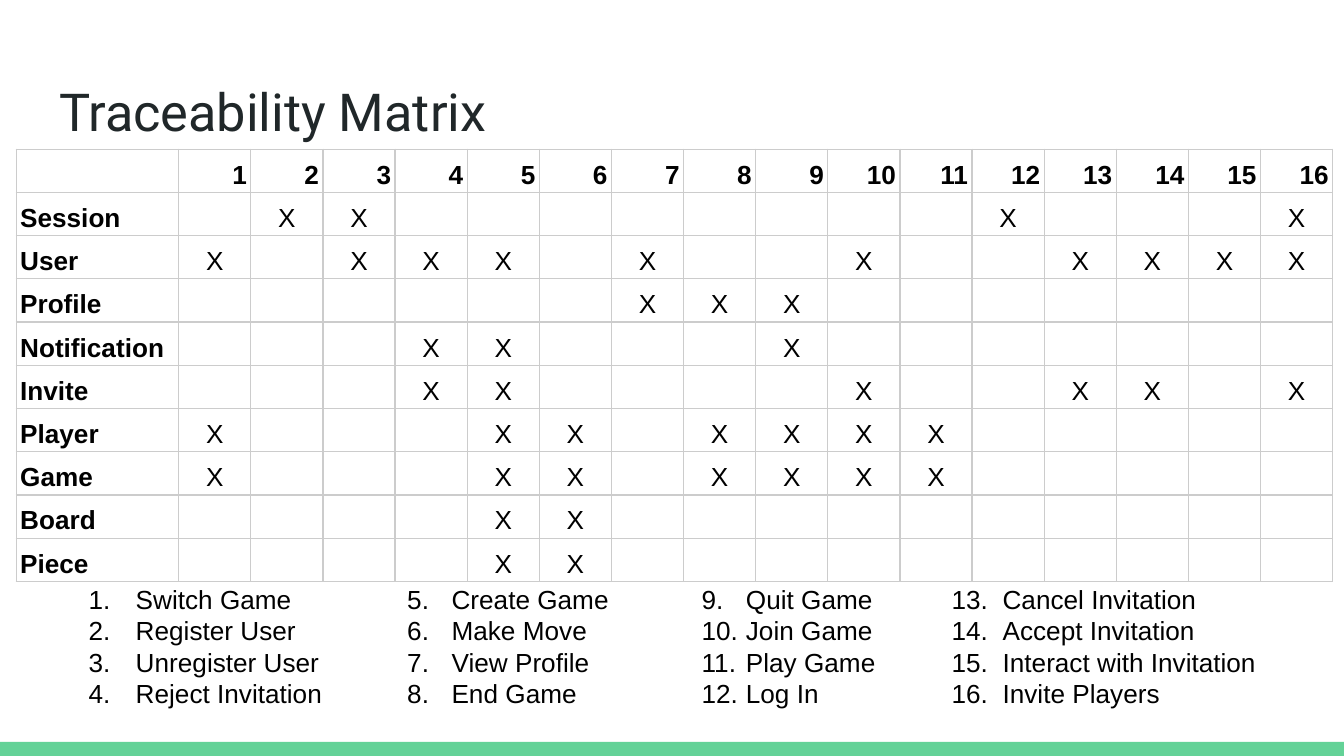
import lxml.etree
import pptx
import pptx.dml.color
import pptx.enum.shapes
import pptx.enum.text
import pptx.oxml.ns
import pptx.util

Inches = pptx.util.Inches
Pt = pptx.util.Pt
ALIGN = pptx.enum.text.PP_ALIGN
ANCHOR = pptx.enum.text.MSO_ANCHOR
qn = pptx.oxml.ns.qn

GREEN = pptx.dml.color.RGBColor(0x63, 0xD2, 0x97)
INK = pptx.dml.color.RGBColor(0x20, 0x27, 0x29)
BLACK = pptx.dml.color.RGBColor(0, 0, 0)
GRID = pptx.dml.color.RGBColor(0xCC, 0xCC, 0xCC)

SLIDE_WIDTH = 10
SLIDE_HEIGHT = SLIDE_WIDTH * 9 / 16
TITLE_FONT = {"name": "Roboto", "size": Pt(28), "bold": False}
BODY_FONT = {"name": "Arial", "size": Pt(14), "bold": False}
BOLD_FONT = {**BODY_FONT, "bold": True}
FRAME = {"word_wrap": True, "auto_size": pptx.enum.text.MSO_AUTO_SIZE.NONE,
         "vertical_anchor": ANCHOR.TOP, "margin_left": Inches(0.1),
         "margin_right": Inches(0.1), "margin_top": Inches(0.1),
         "margin_bottom": Inches(0.1)}
CELL = {"vertical_anchor": ANCHOR.BOTTOM, "margin_left": Inches(0.03),
        "margin_right": Inches(0.03), "margin_top": Inches(0.02),
        "margin_bottom": Inches(0.02)}

USE_CASE_COUNT = 16
TRACES = {
    "Session": (2, 3, 12, 16),
    "User": (1, 3, 4, 5, 7, 10, 13, 14, 15, 16),
    "Profile": (7, 8, 9),
    "Notification": (4, 5, 9),
    "Invite": (4, 5, 10, 13, 14, 16),
    "Player": (1, 5, 6, 8, 9, 10, 11),
    "Game": (1, 5, 6, 8, 9, 10, 11),
    "Board": (5, 6),
    "Piece": (5, 6),
}
USE_CASES = [
    (0.41, 0.5, 0.35, ("Switch Game", "Register User", "Unregister User", "Reject Invitation")),
    (2.93, 0.33, 0.33, ("5.\tCreate Game", "6.\tMake Move", "7.\tView Profile",
                        "8.\tEnd Game")),
    (5.12, 0.33, 0.33, ("9.\tQuit Game", "10.\tJoin Game", "11.\tPlay Game", "12.\tLog In")),
    (6.98, 0.38, 0.38, ("13.\tCancel Invitation", "14.\tAccept Invitation",
                        "15.\tInteract with Invitation", "16.\tInvite Players")),
]


def apply(target, values):
    """Set each named attribute of the target."""
    for name, value in values.items():
        setattr(target, name, value)


def place(part, left, top, width, height):
    """Move a part to a box given in inches."""
    apply(part, {"left": Inches(left), "top": Inches(top),
                 "width": Inches(width), "height": Inches(height)})


def write(paragraph, wording, font, colour, **layout):
    """Fill a paragraph with one formatted run."""
    apply(paragraph, layout)
    run = paragraph.add_run()
    run.text = wording
    apply(run.font, font)
    run.font.color.rgb = colour


def add_heading(heading, left, top, width, height):
    """Place the slide title."""
    place(heading, left, top, width, height)
    apply(heading.text_frame, FRAME)
    write(heading.text_frame.paragraphs[0], "Traceability Matrix", TITLE_FONT, INK,
          alignment=ALIGN.LEFT, line_spacing=1.0)


def outline_cell(cell):
    """Draw thin grid lines around a cell and clear its fill."""
    properties = cell._tc.get_or_add_tcPr()
    for side in ("a:lnL", "a:lnR", "a:lnT", "a:lnB"):
        line = lxml.etree.SubElement(properties, qn(side), w=str(Pt(0.75)))
        fill = lxml.etree.SubElement(line, qn("a:solidFill"))
        lxml.etree.SubElement(fill, qn("a:srgbClr"), val=str(GRID))
    cell.fill.background()


def add_matrix(slide, left, top, width, height):
    """Add the table that traces each class to its use cases."""
    numbers = range(1, USE_CASE_COUNT + 1)
    rows = [["", *map(str, numbers)]]
    rows += [[name, *("X" if number in marks else "" for number in numbers)]
             for name, marks in TRACES.items()]
    matrix = slide.shapes.add_table(len(rows), USE_CASE_COUNT + 1, Inches(left), Inches(top),
                                    Inches(width), Inches(height)).table
    apply(matrix, {"first_row": False, "horz_banding": False})
    name_width = 1.21
    for index, column in enumerate(matrix.columns):
        column.width = Inches((width - name_width) / USE_CASE_COUNT if index else name_width)
    for row_index, row in enumerate(rows):
        matrix.rows[row_index].height = Inches(height / len(rows))
        for column_index, wording in enumerate(row):
            cell = matrix.cell(row_index, column_index)
            apply(cell, CELL)
            outline_cell(cell)
            paragraph = cell.text_frame.paragraphs[0]
            if not wording:
                lxml.etree.SubElement(paragraph._p, qn("a:endParaRPr"), sz="1400")
                continue
            is_mark = row_index and column_index
            alignment = ALIGN.CENTER if is_mark else ALIGN.LEFT if row_index else ALIGN.RIGHT
            write(paragraph, wording, BODY_FONT if is_mark else BOLD_FONT, BLACK,
                  alignment=alignment, line_spacing=1.15)


def add_use_cases(listing, names, indent, hanging, left, top, width, height):
    """Place one column of use cases, numbering names that carry no number."""
    place(listing, left, top, width, height)
    frame = listing.text_frame
    apply(frame, FRAME)
    for index, name in enumerate(names):
        paragraph = frame.add_paragraph() if index else frame.paragraphs[0]
        write(paragraph, name, BODY_FONT, BLACK, alignment=ALIGN.LEFT, line_spacing=1.0,
              space_before=Pt(0), space_after=Pt(0))
        properties = paragraph._p.get_or_add_pPr()
        properties.set("marL", str(Inches(indent)))
        properties.set("indent", str(-Inches(hanging)))
        if "\t" in name:
            lxml.etree.SubElement(properties, qn("a:buNone"))
        else:
            lxml.etree.SubElement(properties, qn("a:buFont"), typeface="Arial")
            lxml.etree.SubElement(properties, qn("a:buAutoNum"), type="arabicPeriod")


def add_footer_bar(slide, left, top, width, height):
    """Add the green bar along the bottom edge."""
    bar = slide.shapes.add_shape(pptx.enum.shapes.MSO_SHAPE.RECTANGLE, Inches(left),
                                 Inches(top), Inches(width), Inches(height))
    bar.shadow.inherit = False
    bar.fill.solid()
    bar.fill.fore_color.rgb = GREEN
    bar.line.fill.background()


def main():
    """Build and save the slide."""
    deck = pptx.Presentation()
    apply(deck, {"slide_width": Inches(SLIDE_WIDTH), "slide_height": Inches(SLIDE_HEIGHT)})
    slide = deck.slides.add_slide(deck.slide_layouts.get_by_name("Comparison"))
    heading, *listings = slide.placeholders
    add_footer_bar(slide, 0, 5.52, SLIDE_WIDTH, SLIDE_HEIGHT - 5.52)
    add_heading(heading, 0.34, 0.49, 9.32, 0.63)
    add_matrix(slide, 0.12, 1.11, 9.8, 3.22)
    for listing, (left, indent, hanging, names) in zip(listings, USE_CASES):
        add_use_cases(listing, names, indent, hanging, left, 4.24, 2.5, 0.8)
    deck.save("out.pptx")


if __name__ == "__main__":
    main()
